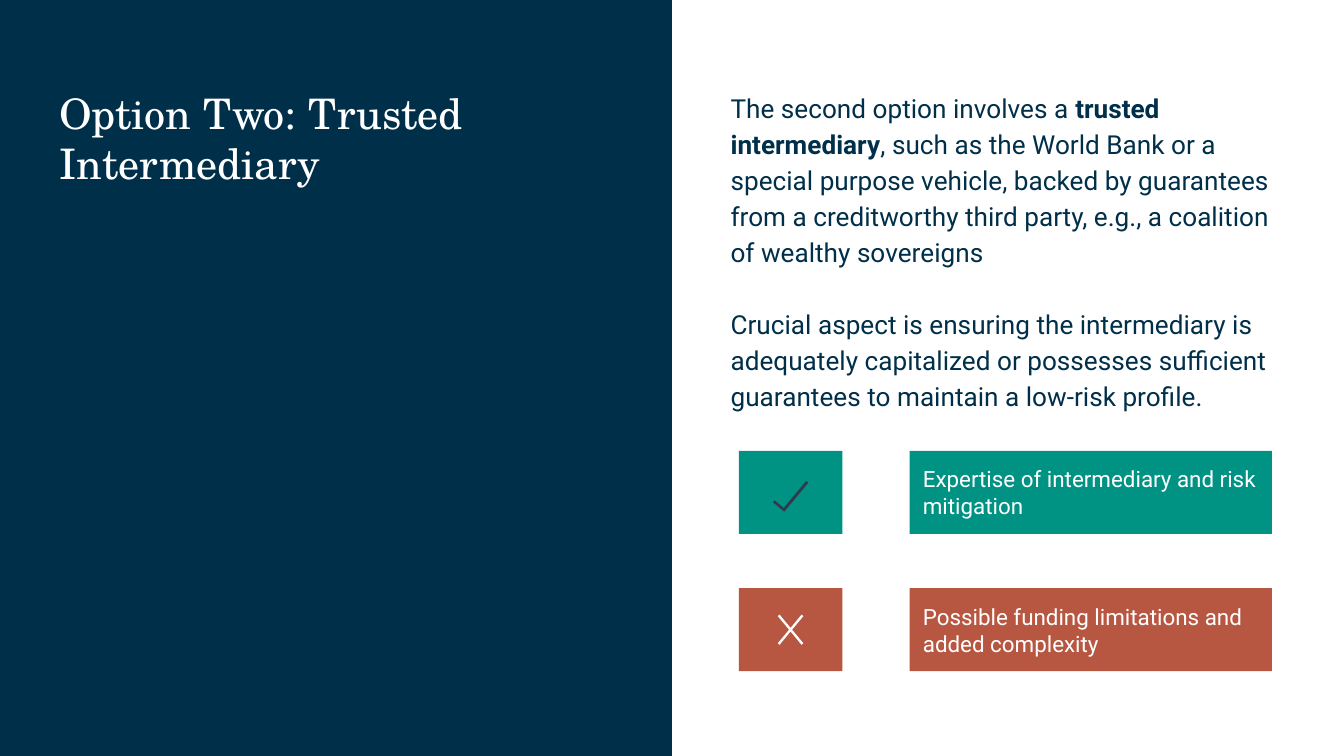
from pptx import Presentation
from pptx.dml.color import RGBColor
from pptx.enum.shapes import MSO_SHAPE
from pptx.enum.text import MSO_ANCHOR, MSO_AUTO_SIZE, PP_ALIGN
from pptx.oxml.ns import qn
from pptx.util import Pt

RECTANGLE = MSO_SHAPE.RECTANGLE
HALF_FRAME = MSO_SHAPE.HALF_FRAME
CROSS = MSO_SHAPE.MATH_MULTIPLY
TOP, MIDDLE = MSO_ANCHOR.TOP, MSO_ANCHOR.MIDDLE
LEFT = PP_ALIGN.LEFT
NO_AUTOFIT = MSO_AUTO_SIZE.NONE

NAVY = RGBColor(0x00, 0x2F, 0x4A)
WHITE = RGBColor(0xFF, 0xFF, 0xFF)
GREEN = RGBColor(0x00, 0x93, 0x84)
RED = RGBColor(0xB8, 0x57, 0x41)
SLATE = RGBColor(0x31, 0x39, 0x4D)

TITLE_FONT = "TeX Gyre Schola"
BODY_FONT = "Roboto"
TITLE_LINES = [[("Option Two: Trusted", False)], [("Intermediary", False)]]
BODY_PARAGRAPHS = [
    [
        ("The second option involves a ", False),
        ("trusted intermediary", True),
        (", such as the World Bank or a special purpose vehicle, backed by guarantees "
         "from a creditworthy third party, e.g., a coalition of wealthy sovereigns", False),
    ],
    [("Crucial aspect is ensuring the intermediary is adequately capitalized or possesses "
      "sufficient guarantees to maintain a low-risk profile.", False)],
]


def write_text(shape, paragraphs, *, font, size, color, anchor=TOP, line_spacing=1.0, gap=0):
    frame = shape.text_frame
    frame.word_wrap = True
    frame.auto_size = NO_AUTOFIT
    frame.vertical_anchor = anchor
    frame.margin_left = frame.margin_right = Pt(7.2)
    frame.margin_top = frame.margin_bottom = Pt(7.2)
    for index, runs in enumerate(paragraphs):
        paragraph = frame.add_paragraph() if index else frame.paragraphs[0]
        paragraph.alignment = LEFT
        paragraph.line_spacing = line_spacing
        paragraph.space_before = Pt(gap if index else 0)
        for text, bold in runs:
            run = paragraph.add_run()
            run.text = text
            run.font.name = font
            run.font.size = Pt(size)
            run.font.bold = bold
            run.font.color.rgb = color


def add_filled_shape(slide, kind, box, color):
    shape = slide.shapes.add_shape(kind, *map(Pt, box))
    shape.shadow.inherit = False
    shape.fill.solid()
    shape.fill.fore_color.rgb = color
    shape.line.fill.background()
    return shape


def add_check(slide, box):
    check = add_filled_shape(slide, HALF_FRAME, center_box(box, 20.2, 7.9), SLATE)
    check.adjustments[0] = 0.188
    check.adjustments[1] = 0.181
    check._element.spPr.find(qn("a:prstGeom")).set("prst", "corner")
    check.rotation = 309.7


def add_cross(slide, box):
    cross = add_filled_shape(slide, CROSS, center_box(box, 24.5, 29.5), WHITE)
    cross.adjustments[0] = 0.051


def center_box(box, inner_width, inner_height):
    left, top, width, height = box
    return (left + (width - inner_width) / 2, top + (height - inner_height) / 2,
            inner_width, inner_height)


def add_title_panel(slide, box):
    left, top, width, height = box
    panel = add_filled_shape(slide, RECTANGLE, box, NAVY)
    title = slide.shapes.title
    panel._element.addnext(title._element)
    title.left, title.top = Pt(left + 24.5), Pt(top + 39.6)
    title.width, title.height = Pt(width - 68.4), Pt(68.4)
    write_text(title, TITLE_LINES, font=TITLE_FONT, size=22.5, color=WHITE)


def add_body(slide, box):
    body = slide.shapes.add_textbox(*map(Pt, box))
    write_text(body, BODY_PARAGRAPHS, font=BODY_FONT, size=14, color=NAVY,
               line_spacing=1.15, gap=19.4)


def add_verdict(slide, box, text, color, add_mark):
    left, top, width, height = box
    icon_width, label_offset = 55.5, 91.5
    icon_box = (left, top, icon_width, height)
    add_filled_shape(slide, RECTANGLE, icon_box, color)
    add_mark(slide, icon_box)
    label_box = (left + label_offset, top, width - label_offset, height)
    label = add_filled_shape(slide, RECTANGLE, label_box, color)
    write_text(label, [[(text, False)]], font=BODY_FONT, size=12, color=WHITE, anchor=MIDDLE)


def add_verdicts(slide, box):
    left, top, width, height = box
    row_height = 44.5
    rows = [
        ("Expertise of intermediary and risk mitigation", GREEN, add_check),
        ("Possible funding limitations and added complexity", RED, add_cross),
    ]
    pitch = (height - row_height) / (len(rows) - 1)
    for index, (text, color, add_mark) in enumerate(rows):
        row_box = (left, top + index * pitch, width, row_height)
        add_verdict(slide, row_box, text, color, add_mark)


def main():
    presentation = Presentation()
    presentation.slide_width, presentation.slide_height = Pt(720), Pt(405)
    slide = presentation.slides.add_slide(presentation.slide_layouts[5])
    add_title_panel(slide, (0, 0, 360, 405))
    add_body(slide, (384.3, 39.6, 311.4, 190))
    add_verdicts(slide, (395.8, 241.6, 285.6, 118))
    presentation.save("out.pptx")


if __name__ == "__main__":
    main()
